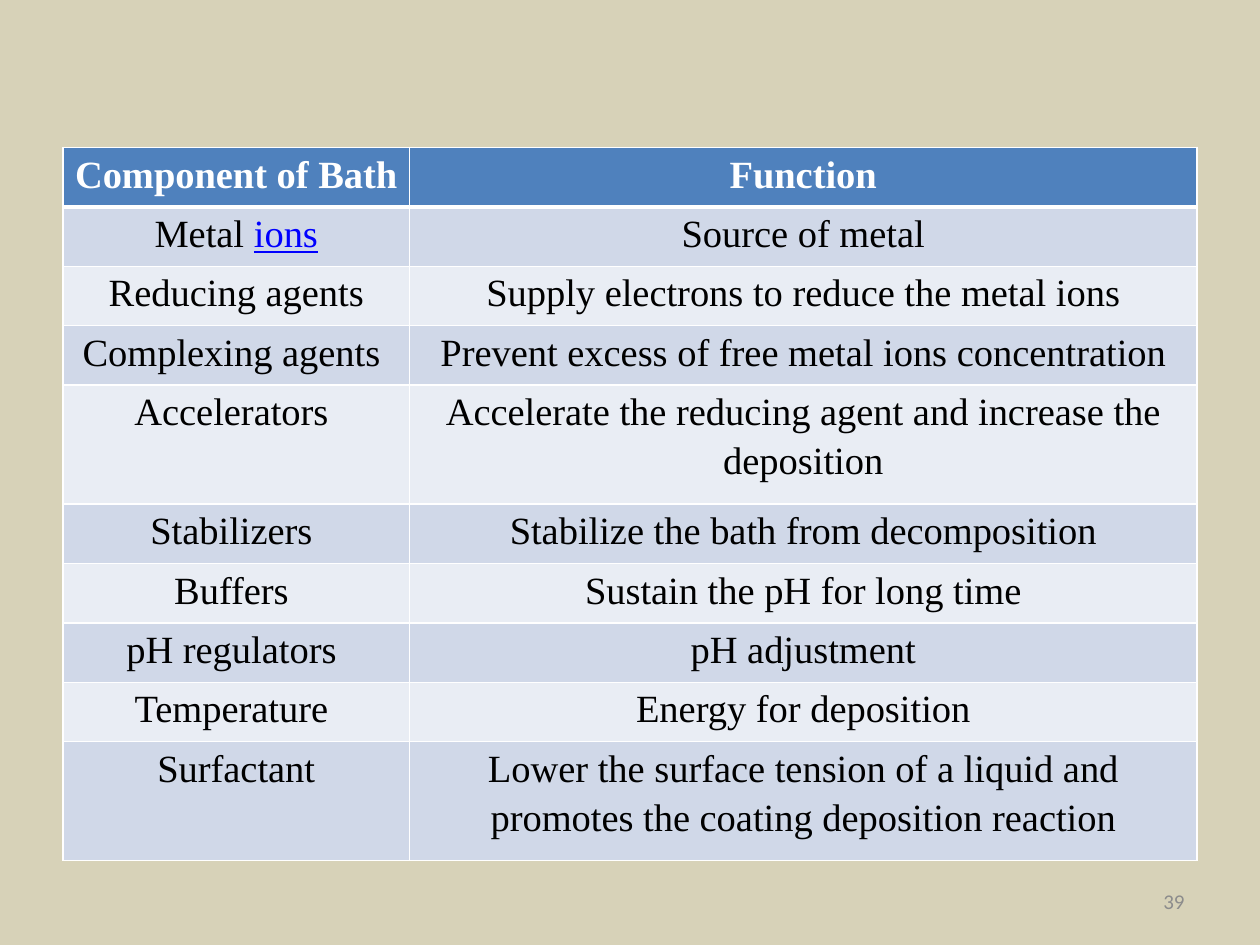
from dataclasses import dataclass

from lxml import etree
from pptx import Presentation
from pptx.dml.color import RGBColor
from pptx.enum.text import MSO_ANCHOR, PP_ALIGN
from pptx.oxml.ns import qn
from pptx.util import Inches, Pt

CENTER, RIGHT = PP_ALIGN.CENTER, PP_ALIGN.RIGHT
TOP, MIDDLE = MSO_ANCHOR.TOP, MSO_ANCHOR.MIDDLE
BLANK_LAYOUT = 6


@dataclass(frozen=True)
class Theme:
    """Colours, fonts and type sizes of the slide."""
    background: str = "D7D2B8"
    header: str = "4F81BD"
    bands: tuple = ("D0D8E8", "E9EDF4")
    border: str = "FFFFFF"
    header_text: str = "FFFFFF"
    text: str = "000000"
    link: str = "0000FF"
    muted: str = "8C8C8C"
    table_font: str = "Times New Roman"
    number_font: str = "Calibri"
    table_size: int = 22
    number_size: int = 12
    thin: int = 1
    thick: int = 3


THEME = Theme()
LINKED_WORD = "ions"
COLUMN_WIDTHS = (2.75, 6.25)
BATH_ROWS = (
    ("Component of Bath", "Function", 1),
    ("Metal ", "Source of metal", 1),
    ("Reducing agents", "Supply electrons to reduce the metal ions", 1),
    ("Complexing agents ", "Prevent excess of free metal ions concentration", 1),
    ("Accelerators ", "Accelerate the reducing agent and increase the deposition", 2),
    ("Stabilizers ", "Stabilize the bath from decomposition", 1),
    ("Buffers ", "Sustain the pH for long time", 1),
    ("pH regulators ", "pH adjustment", 1),
    ("Temperature ", "Energy for deposition", 1),
    ("Surfactant", "Lower the surface tension of a liquid and promotes "
                   "the coating deposition reaction", 2),
)


def add_text(paragraph, text, *, font, size, color, bold=False, underline=False,
             align=CENTER, line_spacing=None):
    """Append a formatted run to a paragraph."""
    paragraph.alignment = align
    if line_spacing:
        paragraph.line_spacing = line_spacing
    run = paragraph.add_run()
    run.text = text
    run.font.name = font
    run.font.size = Pt(size)
    run.font.bold = bold
    run.font.underline = underline
    run.font.color.rgb = RGBColor.from_string(color)


def set_borders(cell, **widths):
    """Draw the cell's sides, given as L, R, T and B widths in points."""
    properties = cell._tc.get_or_add_tcPr()
    for side, width in widths.items():
        line = etree.SubElement(properties, qn(f"a:ln{side}"), w=str(Pt(width)))
        fill = etree.SubElement(line, qn("a:solidFill"))
        etree.SubElement(fill, qn("a:srgbClr"), val=THEME.border)


def format_cell(cell, row_index):
    """Set margins, borders and band fill for a cell of the given row."""
    cell.margin_left = cell.margin_right = Inches(0.07)
    cell.margin_top = cell.margin_bottom = 0
    cell.vertical_anchor = TOP
    set_borders(cell, L=THEME.thin, R=THEME.thin,
                T=THEME.thick if row_index == 1 else THEME.thin,
                B=THEME.thick if row_index == 0 else THEME.thin)
    color = THEME.bands[(row_index - 1) % 2] if row_index else THEME.header
    cell.fill.solid()
    cell.fill.fore_color.rgb = RGBColor.from_string(color)


def add_bath_table(slide, left, top, width, height):
    """Place the table of bath components in the given box."""
    table = slide.shapes.add_table(
        len(BATH_ROWS), len(COLUMN_WIDTHS), Inches(left), Inches(top),
        Inches(width), Inches(height)).table
    for column, share in zip(table.columns, COLUMN_WIDTHS):
        column.width = Inches(width * share / sum(COLUMN_WIDTHS))
    line_height = height / sum(lines for *_, lines in BATH_ROWS)
    style = {"font": THEME.table_font, "size": THEME.table_size, "line_spacing": 1.15}
    for row_index, (*texts, lines) in enumerate(BATH_ROWS):
        table.rows[row_index].height = Inches(line_height * lines)
        is_header = row_index == 0
        for column_index, text in enumerate(texts):
            cell = table.cell(row_index, column_index)
            format_cell(cell, row_index)
            add_text(cell.text_frame.paragraphs[0], text, bold=is_header,
                     color=THEME.header_text if is_header else THEME.text, **style)
    add_text(table.cell(1, 0).text_frame.paragraphs[0], LINKED_WORD,
             color=THEME.link, underline=True, **style)


def add_slide_number(slide, left, top, width, height):
    """Place the slide number in the given box."""
    shape = slide.shapes.add_textbox(
        Inches(left), Inches(top), Inches(width), Inches(height))
    shape.text_frame.word_wrap = True
    shape.text_frame.vertical_anchor = MIDDLE
    add_text(shape.text_frame.paragraphs[0], "39", font=THEME.number_font,
             size=THEME.number_size, color=THEME.muted, align=RIGHT)


def main():
    """Build and save the slide."""
    presentation = Presentation()
    presentation.slide_width, presentation.slide_height = Inches(10), Inches(7.5)
    slide = presentation.slides.add_slide(presentation.slide_layouts[BLANK_LAYOUT])
    slide.background.fill.solid()
    slide.background.fill.fore_color.rgb = RGBColor.from_string(THEME.background)
    add_slide_number(slide, 7.17, 6.95, 2.33, 0.4)
    add_bath_table(slide, 0.5, 1.17, 9, 5.66)
    presentation.save("out.pptx")


if __name__ == "__main__":
    main()
